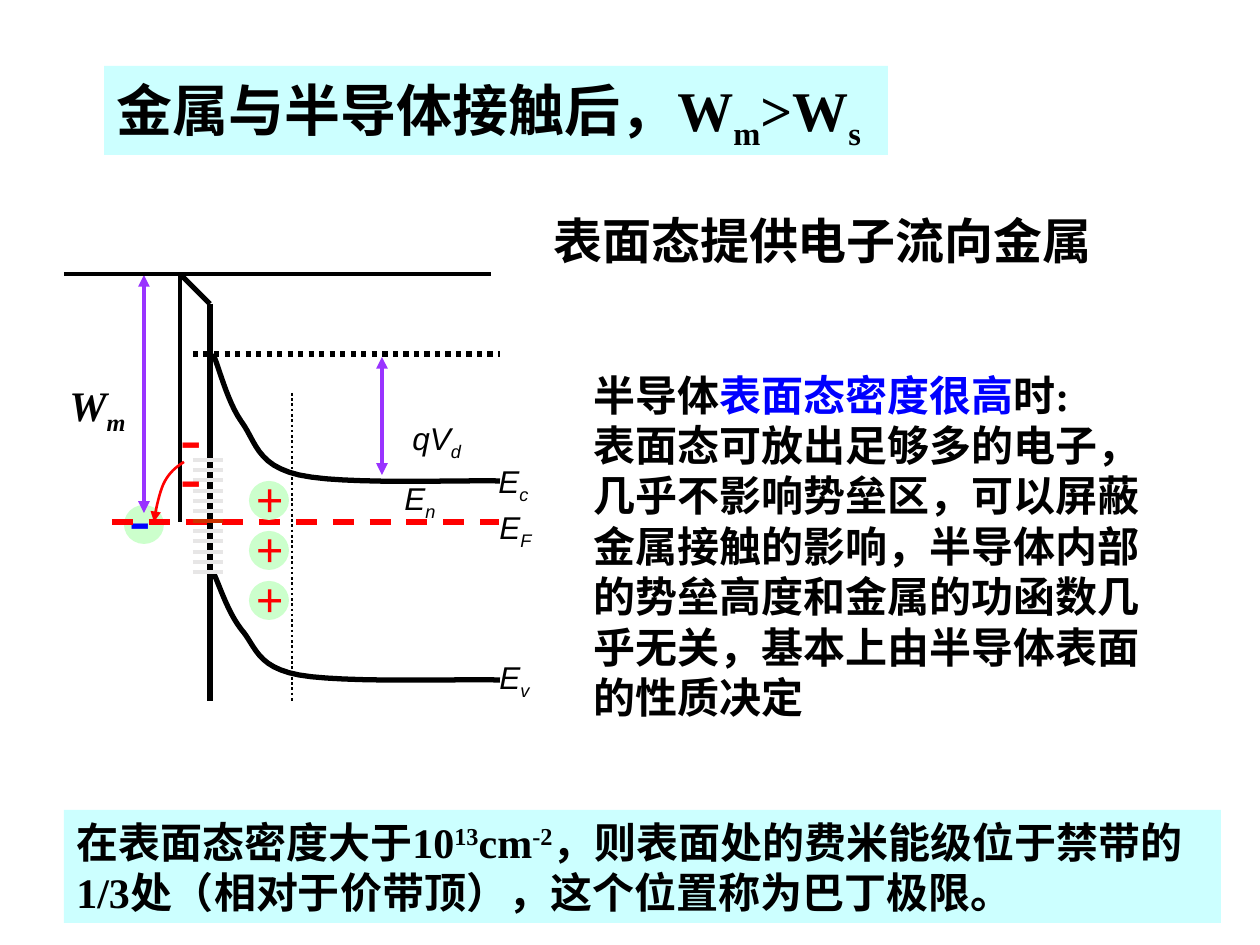
from dataclasses import dataclass
from typing import NamedTuple, Optional

from lxml.etree import SubElement
from pptx import Presentation
from pptx.dml.color import RGBColor
from pptx.enum.dml import MSO_LINE
from pptx.enum.shapes import MSO_CONNECTOR as CONN, MSO_SHAPE as SHAPE
from pptx.enum.text import MSO_ANCHOR as ANCHOR, MSO_AUTO_SIZE as AUTO, PP_ALIGN as ALIGN
from pptx.oxml.ns import qn
from pptx.util import Emu, Pt

EMU_PER_PX = 914400 / 126


@dataclass(frozen=True)
class Theme:
    black: str = "000000"
    blue: str = "0000FF"
    red: str = "FF0000"
    violet: str = "9933FF"
    rust: str = "CC3300"
    grey: str = "E7E6E6"
    panel: str = "CCFFFF"
    charge: str = "CCFFCC"
    serif: str = "Times New Roman"
    sans: str = "Arial"
    title: int = 32
    heading: int = 28
    body: int = 24
    label: int = 18
    minus: int = 36
    thin: float = 1.5
    medium: float = 2.25
    thick: float = 3


T = Theme()


class Box(NamedTuple):
    x: int
    y: int
    w: int
    h: int


class Run(NamedTuple):
    text: str
    color: str = T.black
    base: int = 0


@dataclass(frozen=True)
class Style:
    size: int
    font: str = T.serif
    bold: bool = True
    italic: bool = False


@dataclass(frozen=True)
class Label:
    box: Box
    style: Style
    runs: tuple[Run, ...]


@dataclass(frozen=True)
class Line:
    x1: int
    y1: int
    x2: int
    y2: int
    color: str = T.black
    width: float = T.medium
    dash: Optional[MSO_LINE] = None
    ends: tuple[str, ...] = ()


@dataclass(frozen=True)
class Curve:
    points: tuple[tuple[int, int], ...]
    color: str = T.black
    width: float = T.thick
    ends: tuple[str, ...] = ()


BODY = Style(T.body)
SYMBOL = Style(T.label, T.sans, False, True)
MINUS = Style(T.minus)
PLUS = Style(T.heading, italic=True)
BOTH = ("headEnd", "tailEnd")


def px(n: float) -> Emu:
    return Emu(round(n * EMU_PER_PX))


def place(box: Box) -> list[Emu]:
    return [px(n) for n in box]


def write(sp, paragraphs, style: Style, wrap: bool = True) -> None:
    tf = sp.text_frame
    tf.word_wrap = wrap
    for i, runs in enumerate(paragraphs):
        p = tf.add_paragraph() if i else tf.paragraphs[0]
        p.alignment = ALIGN.LEFT
        for run in runs:
            r = p.add_run()
            r.text = run.text
            r.font.name = style.font
            r.font.size = Pt(style.size)
            r.font.bold = style.bold
            r.font.italic = style.italic
            r.font.color.rgb = RGBColor.from_string(run.color)
            if run.base:
                r._r.get_or_add_rPr().set("baseline", str(run.base * 1000))


def add_text(s, box: Box, paragraphs, style: Style, wrap: bool = True) -> None:
    sp = s.shapes.add_textbox(*place(box))
    write(sp, paragraphs, style, wrap)
    sp.text_frame.auto_size = AUTO.SHAPE_TO_FIT_TEXT


def add_label(s, label: Label) -> None:
    add_text(s, label.box, [label.runs], label.style, False)


def add_filled(s, kind: SHAPE, box: Box, color: str):
    sp = s.shapes.add_shape(kind, *place(box))
    sp.shadow.inherit = False
    sp.fill.solid()
    sp.fill.fore_color.rgb = RGBColor.from_string(color)
    sp.line.fill.background()
    return sp


def stroke(sp, color: str, width: float, dash, ends: tuple[str, ...]) -> None:
    sp.line.color.rgb = RGBColor.from_string(color)
    sp.line.width = Pt(width)
    if dash is not None:
        sp.line.dash_style = dash
    for end in ends:
        SubElement(sp.line._get_or_add_ln(), qn(f"a:{end}"), type="triangle")


def add_line(s, ln: Line) -> None:
    sp = s.shapes.add_connector(CONN.STRAIGHT, px(ln.x1), px(ln.y1), px(ln.x2), px(ln.y2))
    stroke(sp, ln.color, ln.width, ln.dash, ln.ends)
    SubElement(sp._element.spPr, qn("a:effectLst"))


def bezier(a: float, b: float, c: float, d: float, t: float) -> float:
    u = 1 - t
    return u**3 * a + 3 * u * u * t * b + 3 * u * t * t * c + t**3 * d


def add_curve(s, curve: Curve, steps: int = 12) -> None:
    pts = curve.points
    vertices = [
        tuple(px(bezier(*axis, k / steps)) for axis in zip(*pts[i:i + 4]))
        for i in range(0, len(pts) - 1, 3)
        for k in range(1, steps + 1)
    ]
    fb = s.shapes.build_freeform(px(pts[0][0]), px(pts[0][1]))
    fb.add_line_segments(vertices, close=False)
    sp = fb.convert_to_shape()
    sp.shadow.inherit = False
    sp.fill.background()
    stroke(sp, curve.color, curve.width, None, curve.ends)


def add_charge(s, disc: Box, label: Label) -> None:
    add_filled(s, SHAPE.OVAL, disc, T.charge)
    add_label(s, label)


def symbol(x: int, y: int, w: int, name: str, sub: str) -> Label:
    return Label(Box(x, y, w, 55), SYMBOL, (Run(name), Run(sub, base=-25)))


def minus(x: int, y: int, color: str) -> Label:
    return Label(Box(x, y, 45, 88), MINUS, (Run("-", color),))


def add_title(s) -> None:
    sp = s.shapes.title
    sp.left, sp.top, sp.width, sp.height = place(Box(104, 66, 784, 89))
    sp.fill.solid()
    sp.fill.fore_color.rgb = RGBColor.from_string(T.panel)
    runs = (Run("金属与半导体接触后，W"), Run("m", base=-25), Run(">W"), Run("s", base=-25))
    write(sp, [runs], Style(T.title))
    sp.text_frame.auto_size = AUTO.NONE
    sp.text_frame.vertical_anchor = ANCHOR.MIDDLE
    sp.text_frame.paragraphs[0].line_spacing = 0.9


def add_notes_on_states(s) -> None:
    add_text(s, Box(541, 204, 645, 72), [[Run("表面态提供电子流向金属")]], Style(T.heading))
    add_text(s, Box(581, 363, 605, 365), [
        [Run("半导体"), Run("表面态密度很高", T.blue), Run("时:")],
        [Run("表面态可放出足够多的电子，几乎不影响势垒区，可以屏蔽金属接触的影响，"
             "半导体内部的势垒高度和金属的功函数几乎无关，基本上由半导体表面的性质决定")],
    ], BODY)
    sp = add_filled(s, SHAPE.RECTANGLE, Box(64, 810, 1157, 113), T.panel)
    write(sp, [[
        Run("在表面态密度大于10"), Run("13", base=30), Run("cm"), Run("-2", base=30),
        Run("，则表面处的费米能级位于禁带的1/3处（相对于价带顶），这个位置称为巴丁极限。"),
    ]], BODY)
    sp.text_frame.vertical_anchor = ANCHOR.TOP


def add_band_diagram(s) -> None:
    add_charge(s, Box(124, 505, 40, 39), minus(117, 472, T.blue))
    add_label(s, Label(Box(57, 373, 88, 71), Style(T.body, italic=True),
                       (Run("W"), Run("m", base=-25))))
    add_line(s, Line(210, 304, 210, 701, width=T.thick))
    add_line(s, Line(112, 522, 499, 522, T.red, T.thick, MSO_LINE.DASH))
    for curve in (
        Curve(((213, 354), (218, 364), (227, 401), (241, 421), (256, 441), (256, 465),
               (299, 475), (343, 485), (459, 480), (500, 481))),
        Curve(((213, 572), (218, 581), (227, 611), (241, 629), (256, 646), (256, 667),
               (299, 675), (343, 683), (459, 679), (500, 680))),
    ):
        add_curve(s, curve)
    for label in (symbol(486, 456, 60, "E", "c"), symbol(487, 502, 62, "E", "F"),
                  symbol(392, 473, 62, "E", "n"), symbol(400, 413, 80, "qV", "d"),
                  symbol(487, 652, 60, "E", "v")):
        add_label(s, label)
    for i in range(12):
        y = 460 + round(i * 112 / 11)
        add_line(s, Line(193, y, 223, y, T.rust if i == 6 else T.grey))
    add_line(s, Line(292, 393, 292, 701, width=T.thin, dash=MSO_LINE.ROUND_DOT))
    for dy in (100, 50, 0):
        add_charge(s, Box(249, 481 + dy, 40, 39),
                   Label(Box(243, 462 + dy, 53, 72), PLUS, (Run("+", T.red),)))
    for ln in (
        Line(193, 354, 500, 354, width=T.thick, dash=MSO_LINE.ROUND_DOT),
        Line(144, 275, 144, 513, T.violet, ends=BOTH),
        Line(382, 357, 382, 475, T.violet, ends=BOTH),
        Line(64, 274, 491, 274),
        Line(180, 274, 210, 304, width=T.thick),
        Line(180, 274, 180, 522),
    ):
        add_line(s, ln)
    for y in (391, 430):
        add_label(s, minus(168, y, T.red))
    add_curve(s, Curve(((184, 462), (176, 467), (169, 473), (164, 483), (159, 493),
                        (155, 514), (154, 522)), T.red, T.thin, ("tailEnd",)))


def main() -> None:
    prs = Presentation()
    prs.slide_width, prs.slide_height = px(1260), px(945)
    s = prs.slides.add_slide(prs.slide_layouts[5])
    add_title(s)
    add_notes_on_states(s)
    add_band_diagram(s)
    prs.save("out.pptx")


if __name__ == "__main__":
    main()
